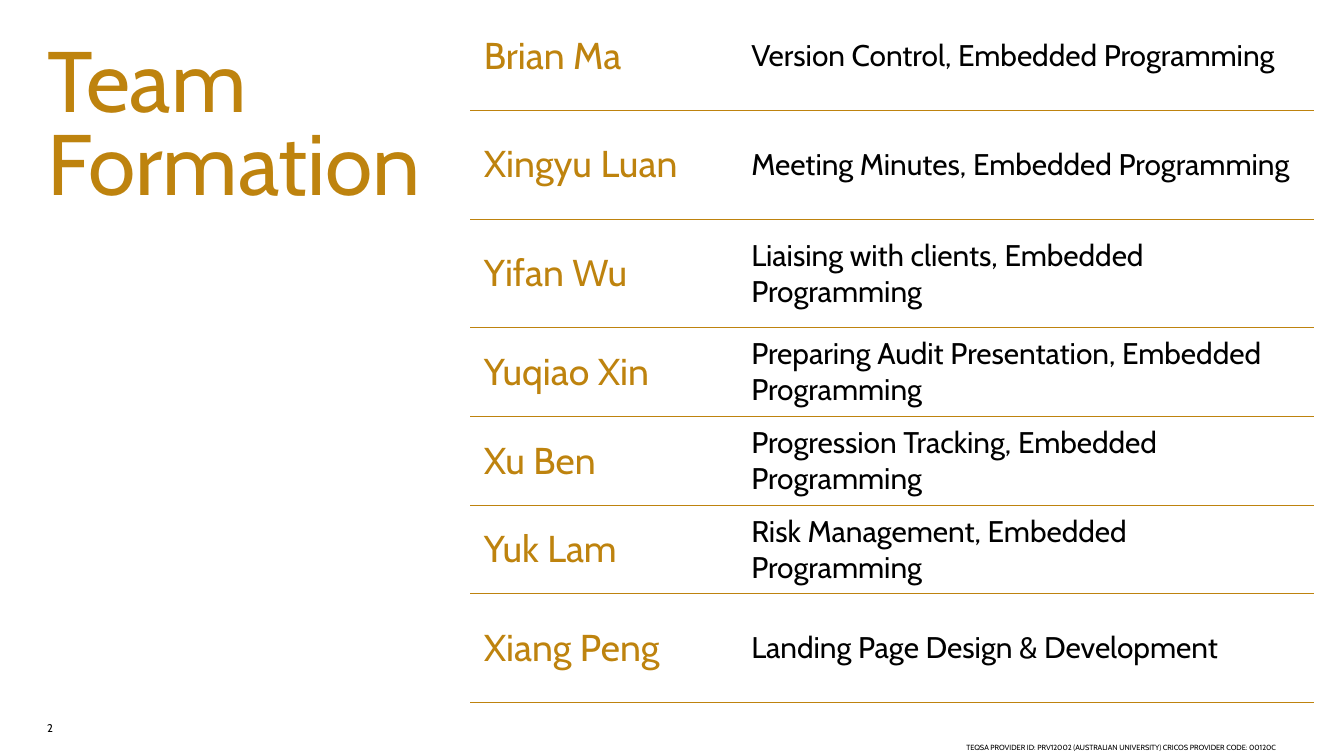
import pptx
import pptx.util
import pptx.dml.color
import pptx.enum.text
import pptx.oxml.ns
from lxml import etree

Inches = pptx.util.Inches
Pt = pptx.util.Pt
RGBColor = pptx.dml.color.RGBColor
qn = pptx.oxml.ns.qn

GOLD = RGBColor(0xBE, 0x83, 0x0E)
BLACK = RGBColor(0, 0, 0)
FONT = "Cabin"

COLUMNS = [1.99, 4.29]
TALL, SHORT = 0.81, 0.66
TEAM = [
    ("Brian Ma", "Version Control, Embedded Programming", TALL),
    ("Xingyu Luan", "Meeting Minutes, Embedded Programming", TALL),
    ("Yifan Wu", "Liaising with clients, Embedded Programming", TALL),
    ("Yuqiao Xin", "Preparing Audit Presentation, Embedded Programming", SHORT),
    ("Xu Ben", "Progression Tracking, Embedded Programming", SHORT),
    ("Yuk Lam", "Risk Management, Embedded Programming", SHORT),
    ("Xiang Peng", "Landing Page Design & Development", TALL),
]


def style_paragraph(p, size, color):
    p.font.name = FONT
    p.font.size = Pt(size)
    p.font.color.rgb = color


def add_text(s, box, text, size, color, line_spacing=None):
    tf = s.shapes.add_textbox(*map(Inches, box)).text_frame
    tf.word_wrap = True
    tf.margin_left = tf.margin_right = tf.margin_top = tf.margin_bottom = 0
    p = tf.paragraphs[0]
    p.text = text
    p.line_spacing = line_spacing
    style_paragraph(p, size, color)


def set_borders(cell, ruled):
    tcPr = cell._tc.get_or_add_tcPr()
    for i, side in enumerate(("lnL", "lnR", "lnT", "lnB")):
        ln = etree.Element(qn("a:" + side), w=str(Pt(0.5)))
        if side in ruled:
            fill = etree.SubElement(ln, qn("a:solidFill"))
            etree.SubElement(fill, qn("a:srgbClr"), val=str(GOLD))
        else:
            etree.SubElement(ln, qn("a:noFill"))
        tcPr.insert(i, ln)


def add_team_table(s, left, top):
    width = sum(COLUMNS)
    height = sum(row[2] for row in TEAM)
    frame = s.shapes.add_table(len(TEAM), len(COLUMNS), Inches(left), Inches(top),
                               Inches(width), Inches(height))
    table = frame.table
    table.first_row = table.horz_banding = False
    for column, column_width in zip(table.columns, COLUMNS):
        column.width = Inches(column_width)
    for i, (name, role, row_height) in enumerate(TEAM):
        table.rows[i].height = Inches(row_height)
        ruled = ("lnB",) if i == 0 else ("lnT", "lnB")
        for j, (text, size, color) in enumerate(((name, 20, GOLD), (role, 16, BLACK))):
            cell = table.cell(i, j)
            cell.fill.background()
            cell.vertical_anchor = pptx.enum.text.MSO_ANCHOR.MIDDLE
            cell.text = text
            style_paragraph(cell.text_frame.paragraphs[0], size, color)
            set_borders(cell, ruled)


def add_footer(s, left, top):
    add_text(s, (left, top, 0.39, 0.12), "2", 6, BLACK)
    provider = ("TEQSA PROVIDER ID: PRV12002 (AUSTRALIAN UNIVERSITY) "
                "CRICOS PROVIDER CODE: 00120C")
    add_text(s, (left + 6.84, top + 0.16, 3.61, 0.18), provider, 4, BLACK)


def main():
    prs = pptx.Presentation()
    prs.slide_width, prs.slide_height = Inches(10), Inches(5.625)
    s = prs.slides.add_slide(prs.slide_layouts[6])
    add_text(s, (0.35, 0.35, 3.15, 3.44), "Team Formation", 46, GOLD, 0.8)
    add_team_table(s, 3.5, 0.01)
    add_footer(s, 0.35, 5.37)
    prs.save("out.pptx")


if __name__ == "__main__":
    main()
